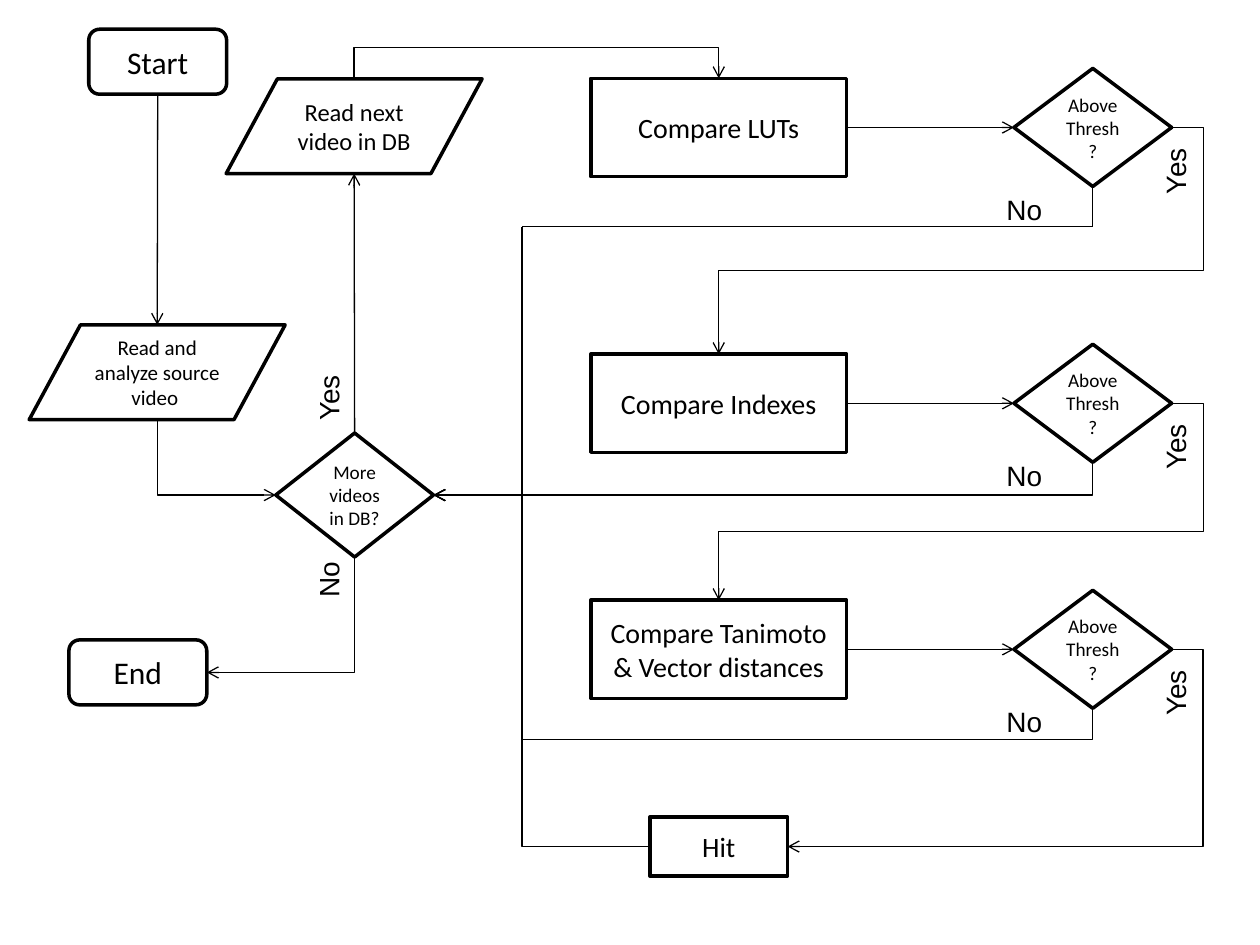
"""Build a one-slide flowchart of a video matching process."""
from lxml.etree import SubElement
from pptx import Presentation
from pptx.dml.color import RGBColor
from pptx.enum.shapes import MSO_CONNECTOR, MSO_SHAPE
from pptx.enum.text import MSO_ANCHOR, MSO_AUTO_SIZE, PP_ALIGN
from pptx.oxml.ns import qn
from pptx.util import Cm, Pt

BLACK = RGBColor(0, 0, 0)
WHITE = RGBColor(255, 255, 255)
SITES = {"top": 0, "left": 1, "bottom": 2, "right": 3}
DATA_SITES = {"top": 1, "bottom": 4}


def apply_format(target, values):
    for name, value in values.items():
        setattr(target, name, value)


def write_text(shape, text, size, font, alignment):
    paragraph = shape.text_frame.paragraphs[0]
    paragraph.alignment = alignment
    run = paragraph.add_run()
    run.text = text
    apply_format(run.font, {"size": Pt(size), "name": font})
    run.font.color.rgb = BLACK


def add_node(slide, kind, left, top, width, height, text, size):
    shape = slide.shapes.add_shape(kind, Cm(left), Cm(top), Cm(width), Cm(height))
    shape.shadow.inherit = False
    shape.fill.solid()
    shape.fill.fore_color.rgb = WHITE
    shape.line.color.rgb = BLACK
    shape.line.width = Pt(2)
    apply_format(shape.text_frame, {"word_wrap": True, "vertical_anchor": MSO_ANCHOR.MIDDLE})
    write_text(shape, text, size, "Calibri", PP_ALIGN.CENTER)
    return shape


def add_label(slide, text, left, top, width, height, vertical=False):
    label = slide.shapes.add_textbox(Cm(left), Cm(top), Cm(width), Cm(height))
    apply_format(label.text_frame, {"word_wrap": False,
                                    "auto_size": MSO_AUTO_SIZE.SHAPE_TO_FIT_TEXT})
    write_text(label, text, 16, "Arial", PP_ALIGN.LEFT)
    if vertical:
        label.rotation = 180
        label.element.find(".//" + qn("a:bodyPr")).set("vert", "eaVert")


def site_point(shape, side):
    across = {"left": 0, "right": shape.width}.get(side, shape.width // 2)
    down = {"top": 0, "bottom": shape.height}.get(side, shape.height // 2)
    return shape.left + across, shape.top + down


def add_line(slide, kind, start, end, arrow=True):
    connector = slide.shapes.add_connector(kind, *start, *end)
    connector.line.color.rgb = BLACK
    connector.line.width = Pt(0.75)
    if arrow:
        SubElement(connector.line._get_or_add_ln(), qn("a:tailEnd"), type="arrow")
    SubElement(connector.element.spPr, qn("a:effectLst"))
    return connector


def add_straight(slide, source, source_side, target, target_side):
    add_line(slide, MSO_CONNECTOR.STRAIGHT, site_point(source, source_side),
             site_point(target, target_side))


def add_bent(slide, source, source_side, target, target_side, preset,
             rotation=0, flips="", adjustments=()):
    start, end = site_point(source, source_side), site_point(target, target_side)
    width, height = abs(end[0] - start[0]), abs(end[1] - start[1])
    if rotation in (90, 270):
        width, height = height, width
    left = (start[0] + end[0] - width) // 2
    top = (start[1] + end[1] - height) // 2
    connector = add_line(slide, MSO_CONNECTOR.ELBOW, start, end)
    apply_format(connector, {"left": left, "top": top, "width": width, "height": height})
    frame = connector.element.find(".//" + qn("a:xfrm"))
    frame.set("rot", str(rotation * 60000))
    for axis in "hv":
        frame.set("flip" + axis.upper(), str(int(axis in flips)))
    geometry = connector.element.find(".//" + qn("a:prstGeom"))
    geometry.set("prst", preset)
    for number, value in enumerate(adjustments, 1):
        SubElement(geometry.find(qn("a:avLst")), qn("a:gd"), name=f"adj{number}",
                   fmla=f"val {round(value * 100000)}")
    joints = connector.element.find(".//" + qn("p:cNvCxnSpPr"))
    for tag, shape, side in (("a:stCxn", source, source_side), ("a:endCxn", target, target_side)):
        is_data = shape.auto_shape_type == MSO_SHAPE.FLOWCHART_DATA
        sites = DATA_SITES if is_data else SITES
        SubElement(joints, qn(tag), id=str(shape.shape_id), idx=str(sites[side]))


def add_route(slide, points):
    last = len(points) - 2
    for index, (start, end) in enumerate(zip(points, points[1:])):
        add_line(slide, MSO_CONNECTOR.STRAIGHT, start, end, index == last)


def add_stage(slide, top, text, no_offset):
    box = add_node(slide, MSO_SHAPE.RECTANGLE, 11.91, top, 5.16, 1.98, text, 16)
    decision = add_node(slide, MSO_SHAPE.FLOWCHART_DECISION, 20.44, top - 0.2, 3.18, 2.38,
                        "Above Thresh?", 11)
    add_label(slide, "No", 20.04, top + no_offset, 1.24, 0.94)
    add_label(slide, "Yes", 23.22, top + 1.39, 1.19, 1.19, True)
    add_straight(slide, box, "right", decision, "left")
    return box, decision


def main():
    presentation = Presentation()
    apply_format(presentation, {"slide_width": Cm(25.4), "slide_height": Cm(19.05)})
    slide = presentation.slides.add_slide(presentation.slide_layouts[6])

    terminal, data = MSO_SHAPE.FLOWCHART_ALTERNATE_PROCESS, MSO_SHAPE.FLOWCHART_DATA
    start = add_node(slide, terminal, 1.79, 0.59, 2.78, 1.31, "Start", 18)
    finish = add_node(slide, terminal, 1.39, 12.9, 2.78, 1.31, "End", 18)
    read_next = add_node(slide, data, 4.56, 1.59, 5.16, 1.91, "Read next video in DB", 14)
    read_source = add_node(slide, data, 0.59, 6.55, 5.16, 1.91,
                           "Read and analyze source video ", 12)
    more = add_node(slide, MSO_SHAPE.FLOWCHART_DECISION, 5.56, 8.73, 3.18, 2.5,
                    "More videos in DB?", 11)
    hit = add_node(slide, MSO_SHAPE.RECTANGLE, 13.1, 16.47, 2.78, 1.19, "Hit", 16)
    add_label(slide, "Yes", 6.15, 7.54, 1.19, 1.19, True)
    add_label(slide, "No", 6.15, 11.31, 1.19, 0.99, True)

    tables, table_check = add_stage(slide, 1.58, "Compare LUTs", 2.18)
    indexes, index_check = add_stage(slide, 7.14, "Compare Indexes", 1.98)
    distances, distance_check = add_stage(slide, 12.1, "Compare Tanimoto & Vector distances", 1.98)

    add_straight(slide, start, "bottom", read_source, "top")
    add_straight(slide, more, "top", read_next, "bottom")
    two, three, four = (f"bentConnector{count}" for count in (2, 3, 4))
    for route in (
        (read_next, "top", tables, "top", three, 90, "hv", (63.5,)),
        (read_source, "bottom", more, "left", two, 270, "h"),
        (more, "bottom", finish, "right", two, 90),
        (table_check, "right", indexes, "top", four, 0, "h", (-0.07, 0.63)),
        (index_check, "right", distances, "top", four, 0, "h", (-0.07, 0.65)),
        (distance_check, "right", hit, "right", three, 0, "h", (-0.082,)),
        (hit, "left", more, "right", three, 180, "", (0.591,)),
        (index_check, "bottom", more, "right", two, 90),
        (distance_check, "bottom", more, "right", four, 90, "h", (-0.147, 0.865)),
    ):
        add_bent(slide, *route)

    exit_point, entry_point = site_point(table_check, "bottom"), site_point(more, "right")
    add_route(slide, [exit_point, (exit_point[0], Cm(4.57)), (Cm(10.52), Cm(4.57)),
                      (Cm(10.52), entry_point[1]), entry_point])
    presentation.save("out.pptx")


main()
